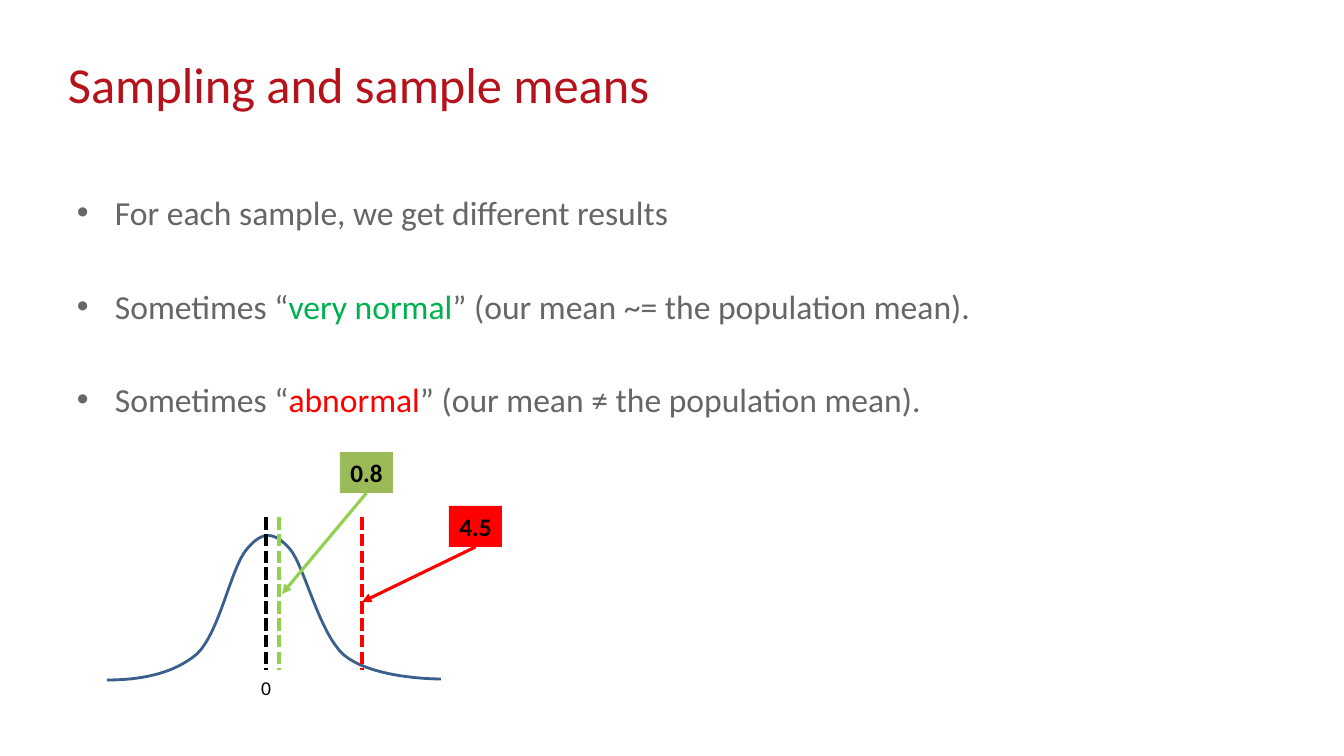
from lxml.etree import SubElement
from pptx import Presentation
from pptx.dml.color import RGBColor
from pptx.enum.dml import MSO_LINE
from pptx.enum.shapes import MSO_CONNECTOR, MSO_SHAPE
from pptx.enum.text import MSO_ANCHOR, PP_ALIGN
from pptx.oxml.ns import qn
from pptx.util import Pt

# Content
COLORS = {
    "title": "B5121B", "body": "666666", "normal": "00B050", "abnormal": "FF0000",
    "curve": "3A5F8C", "black": "000000", "green": "92D050", "olive": "9BBB59",
}
TITLE = "Sampling and sample means"
BULLETS = [
    [("For each sample, we get different results", "body")],
    [("Sometimes “", "body"), ("very normal", "normal"),
     ("” (our mean ~= the population mean).", "body")],
    [("Sometimes “", "body"), ("abnormal", "abnormal"),
     ("” (our mean ≠ the population mean).", "body")],
]
# Bell curve: start, then (control, control, end) for each segment
CURVE_START = (107, 680)
CURVE_SEGMENTS = [
    ((138, 680), (172, 675), (197, 654)),
    ((220, 632), (231, 567), (247, 549)),
    ((262, 531), (274, 531), (290, 549)),
    ((305, 567), (319, 633), (344, 655)),
    ((369, 676), (423, 679), (441, 679)),
]
CURVE_STEPS = 16
MEAN_LINE_X, MEAN_LINE_TOP, MEAN_LINE_BOTTOM = 266, 517, 670
# Sample means: label, box left and top, box fill, line colour, line x, arrow tip
SAMPLES = [
    ("4.5", (449, 506), "abnormal", "abnormal", 362, (362, 602)),
    ("0.8", (340, 452), "olive", "green", 279, (282, 594)),
]
BOX_SIZE = (53, 41)

# Scale and slide
EMU_PER_PX = 914400 / 100.8


def px(value):
    return round(value * EMU_PER_PX)


presentation = Presentation()
presentation.slide_width, presentation.slide_height = px(1344), px(756)
slide = presentation.slides.add_slide(presentation.slide_layouts[6])


def rgb(name):
    return RGBColor.from_string(COLORS[name])


def set_all(target, values):
    for name, value in values.items():
        setattr(target, name, value)


def add_run(paragraph, text, size, color, bold=False):
    run = paragraph.add_run()
    run.text = text
    set_all(run.font, {"name": "Calibri", "size": Pt(size), "bold": bold})
    run.font.color.rgb = rgb(color)


def add_text_box(left, top, width, height):
    frame = slide.shapes.add_textbox(px(left), px(top), px(width), px(height)).text_frame
    frame.word_wrap = True
    return frame


def fill_label(frame, text, size, bold):
    set_all(frame, {"word_wrap": False, "vertical_anchor": MSO_ANCHOR.MIDDLE,
                    "margin_left": 0, "margin_right": 0,
                    "margin_top": 0, "margin_bottom": 0})
    paragraph = frame.paragraphs[0]
    paragraph.alignment = PP_ALIGN.CENTER
    add_run(paragraph, text, size, "black", bold)


def add_line(start, end, color, width, dashed=False, arrow=False):
    connector = slide.shapes.add_connector(
        MSO_CONNECTOR.STRAIGHT, *(px(value) for value in (*start, *end)))
    connector.line.color.rgb = rgb(color)
    connector.line.width = Pt(width)
    if dashed:
        connector.line.dash_style = MSO_LINE.SQUARE_DOT
    properties = connector.element.spPr
    if arrow:
        SubElement(properties.find(qn("a:ln")), qn("a:tailEnd"), type="triangle")
    SubElement(properties, qn("a:effectLst"))
    return connector


def add_mean_line(x, color):
    add_line((x, MEAN_LINE_TOP), (x, MEAN_LINE_BOTTOM), color, 3, dashed=True)


# Title
title = add_text_box(58, 60, 995, 127).paragraphs[0]
title.line_spacing = Pt(35)
add_run(title, TITLE, 36, "title")

# Bullets
body = add_text_box(67, 187, 938, 395)
for index, runs in enumerate(BULLETS):
    paragraph = body.add_paragraph() if index else body.paragraphs[0]
    paragraph.space_before = Pt(38 if index else 0)
    properties = paragraph._p.get_or_add_pPr()
    properties.set("marL", str(px(38)))
    properties.set("indent", str(-px(38)))
    SubElement(properties, qn("a:buFont"), typeface="Arial")
    SubElement(properties, qn("a:buChar"), char="•")
    for text, color in runs:
        add_run(paragraph, text, 24, color)

# Bell curve
points = []
start = CURVE_START
for first, second, end in CURVE_SEGMENTS:
    for step in range(1, CURVE_STEPS + 1):
        t = step / CURVE_STEPS
        weights = ((1 - t) ** 3, 3 * t * (1 - t) ** 2, 3 * t ** 2 * (1 - t), t ** 3)
        corners = (start, first, second, end)
        points.append(tuple(
            px(sum(weight * corner[axis] for weight, corner in zip(weights, corners)))
            for axis in (0, 1)))
    start = end
builder = slide.shapes.build_freeform(px(CURVE_START[0]), px(CURVE_START[1]))
builder.add_line_segments(points, close=False)
curve = builder.convert_to_shape()
curve.shadow.inherit = False
curve.fill.background()
curve.line.color.rgb = rgb("curve")
curve.line.width = Pt(2)

# Population mean
add_mean_line(MEAN_LINE_X, "black")
fill_label(add_text_box(MEAN_LINE_X - 15, 671, 30, 34), "0", 14, False)

# Sample means with their labels
for text, (left, top), fill, color, line_x, tip in SAMPLES:
    add_mean_line(line_x, color)
    box = slide.shapes.add_shape(
        MSO_SHAPE.RECTANGLE, *(px(value) for value in (left, top, *BOX_SIZE)))
    box.shadow.inherit = False
    box.fill.solid()
    box.fill.fore_color.rgb = rgb(fill)
    box.line.fill.background()
    fill_label(box.text_frame, text, 18, True)
    bottom_middle = (left + BOX_SIZE[0] / 2, top + BOX_SIZE[1])
    arrow = add_line(bottom_middle, tip, color, 2.25, arrow=True)
    arrow.begin_connect(box, 2)

presentation.save("out.pptx")
